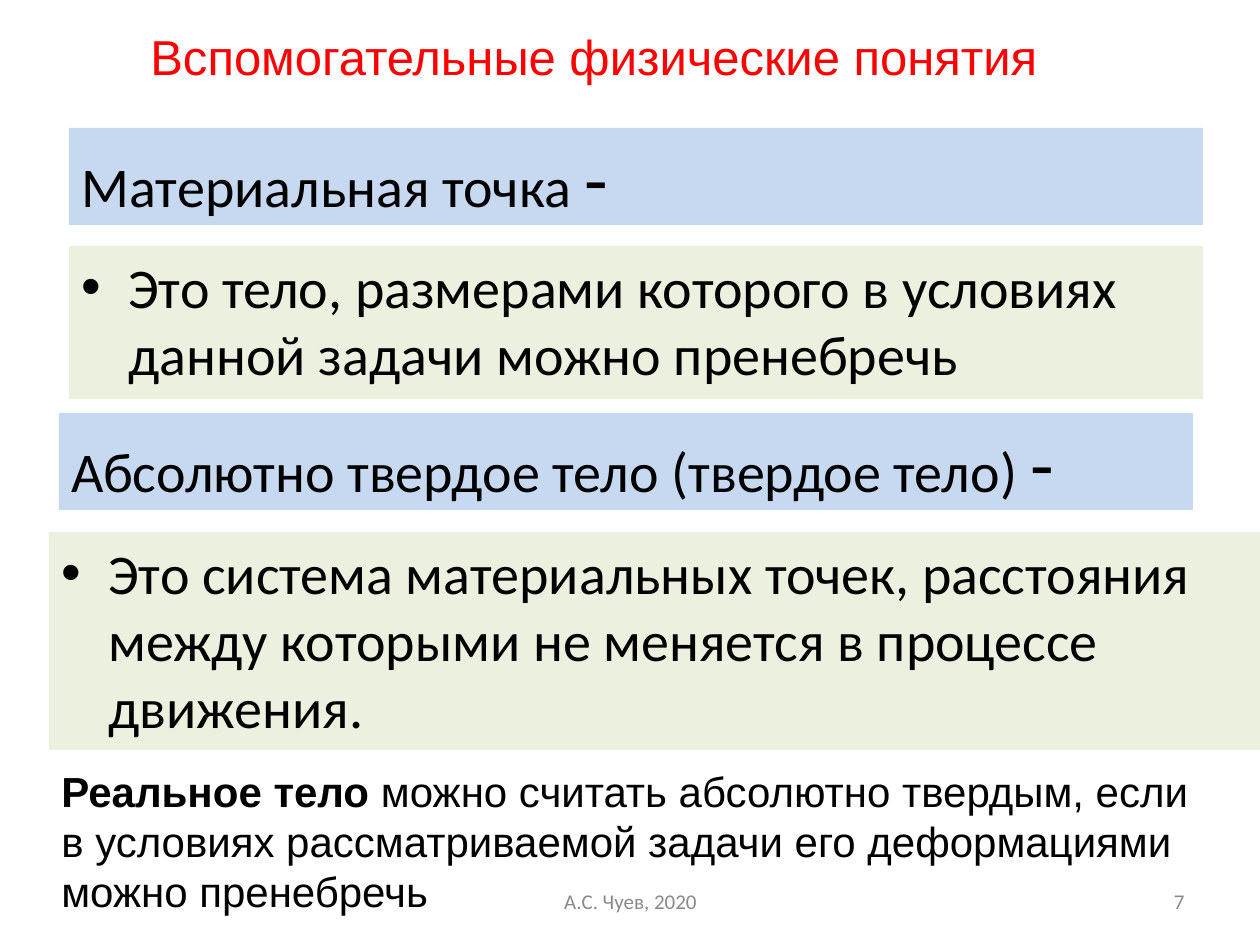
from dataclasses import dataclass
from typing import NamedTuple

from lxml import etree
from pptx import Presentation
from pptx import util as u
from pptx.dml import color
from pptx.enum import shapes, text
from pptx.oxml import ns

SCALE = 914400 // 126


@dataclass(frozen=True)
class Theme:
    blue: str = "C6D9F1"
    green: str = "EBF1DE"
    black: str = "000000"
    red: str = "FF0000"
    gray: str = "898989"
    sans: str = "Arial"
    body: str = "Calibri"
    dash: int = 44
    large: int = 32
    title: int = 28
    note: int = 24
    small: int = 12


T = Theme()


class Run(NamedTuple):
    words: str
    size: int = T.large
    face: str = T.body
    tint: str = T.black
    bold: bool = False


@dataclass(frozen=True)
class Box:
    left: int
    top: int
    width: int
    height: int
    runs: tuple[Run, ...]
    fill: str = ""
    align: text.PP_ALIGN = text.PP_ALIGN.LEFT
    middle: bool = False
    bullet: bool = False


def px(num: int) -> u.Emu:
    return u.Emu(num * SCALE)


def rgb(code: str) -> color.RGBColor:
    return color.RGBColor.from_string(code)


def add_dot(para) -> None:
    props = para._p.get_or_add_pPr()
    props.set("marL", str(px(47)))
    props.set("indent", str(px(-47)))
    font = etree.SubElement(props, ns.qn("a:buFont"))
    font.set("typeface", T.sans)
    dot = etree.SubElement(props, ns.qn("a:buChar"))
    dot.set("char", "•")


def draw_box(slide, box: Box) -> None:
    area = [px(n) for n in (box.left, box.top, box.width, box.height)]
    if box.fill:
        shape = slide.shapes.add_shape(shapes.MSO_SHAPE.RECTANGLE, *area)
        shape.shadow.inherit = False
        shape.fill.solid()
        shape.fill.fore_color.rgb = rgb(box.fill)
        shape.line.fill.background()
    else:
        shape = slide.shapes.add_textbox(*area)
    frame = shape.text_frame
    frame.word_wrap = True
    anchor = text.MSO_ANCHOR
    frame.vertical_anchor = anchor.MIDDLE if box.middle else anchor.TOP
    para = frame.paragraphs[0]
    para.alignment = box.align
    if box.bullet:
        add_dot(para)
    for item in box.runs:
        run = para.add_run()
        run.text = item.words
        run.font.size = u.Pt(item.size)
        run.font.name = item.face
        run.font.bold = item.bold
        run.font.color.rgb = rgb(item.tint)


def term(left: int, top: int, words: str) -> Box:
    runs = (Run(words), Run("-", T.dash))
    return Box(left, top, 1134, 97, runs, T.blue, middle=True)


def sense(left: int, top: int, width: int, height: int, words: str) -> Box:
    return Box(left, top, width, height, (Run(words),), T.green, bullet=True)


def foot(left: int, width: int, words: str, align: text.PP_ALIGN) -> Box:
    runs = (Run(words, T.small, tint=T.gray),)
    return Box(left, 876, width, 50, runs, align=align, middle=True)


BOXES = (
    term(69, 128, "Материальная точка "),
    sense(69, 246, 1134, 153,
          "Это тело, размерами которого в условиях данной задачи можно пренебречь"),
    sense(49, 532, 1211, 218,
          "Это система материальных точек, расстояния между которыми "
          "не меняется в процессе движения."),
    term(59, 413, "Абсолютно твердое тело (твердое тело) "),
    Box(49, 759, 1160, 164, (
        Run("Реальное тело ", T.note, T.sans, bold=True),
        Run("можно считать абсолютно твердым, если в условиях рассматриваемой "
            "задачи его деформациями можно пренебречь", T.note, T.sans),
    )),
    Box(118, 20, 965, 72,
        (Run("Вспомогательные физические понятия ", T.title, T.sans, T.red),),
        align=text.PP_ALIGN.CENTER),
    foot(903, 294, "7", text.PP_ALIGN.RIGHT),
    foot(431, 399, "А.С. Чуев, 2020", text.PP_ALIGN.CENTER),
)


def main() -> None:
    deck = Presentation()
    deck.slide_width, deck.slide_height = px(1260), px(945)
    slide = deck.slides.add_slide(deck.slide_layouts[6])
    for box in BOXES:
        draw_box(slide, box)
    deck.save("out.pptx")


if __name__ == "__main__":
    main()
